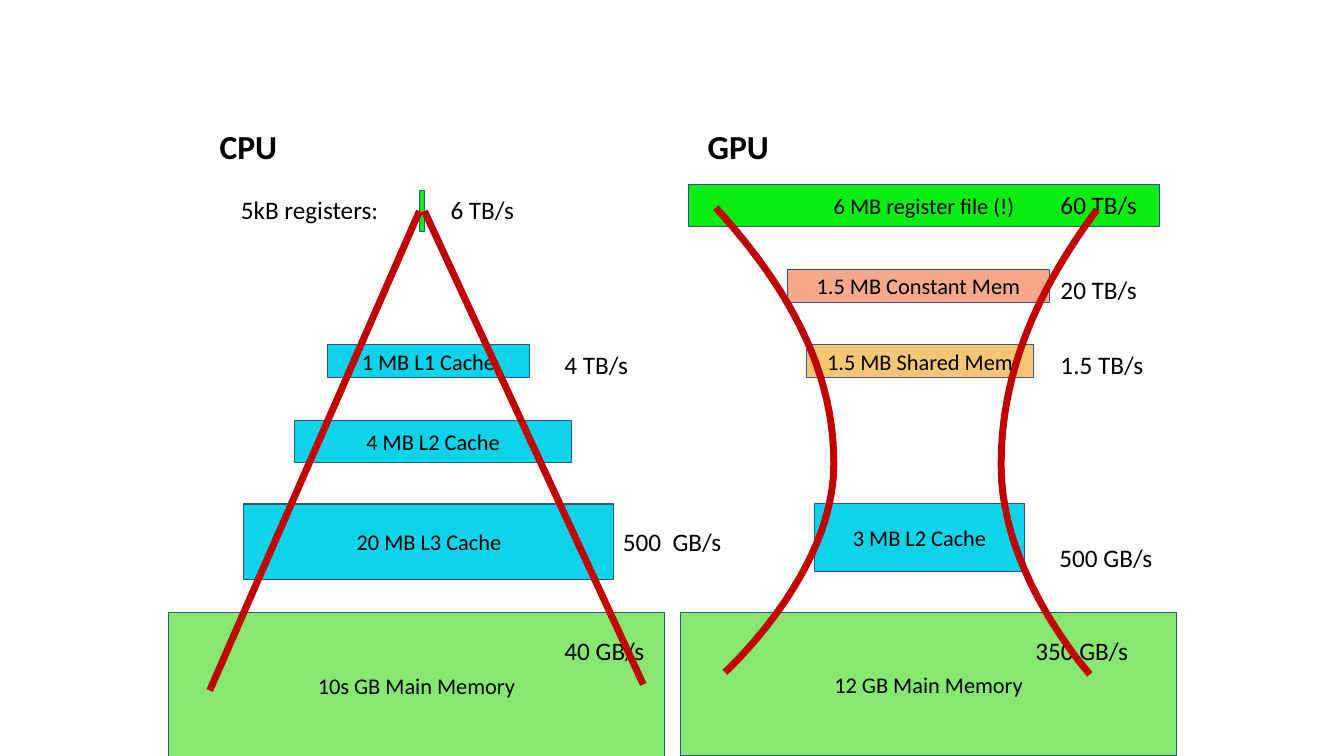
from typing import NamedTuple

from lxml import etree
from pptx import Presentation
from pptx.dml.color import RGBColor
from pptx.enum.shapes import MSO_CONNECTOR, MSO_SHAPE
from pptx.enum.text import MSO_ANCHOR, MSO_AUTO_SIZE, PP_ALIGN
from pptx.oxml.ns import qn
from pptx.util import Inches, Pt

RECT = MSO_SHAPE.RECTANGLE
STRAIGHT = MSO_CONNECTOR.STRAIGHT
MIDDLE = MSO_ANCHOR.MIDDLE
BOTTOM = MSO_ANCHOR.BOTTOM
CENTER = PP_ALIGN.CENTER
FIT = MSO_AUTO_SIZE.SHAPE_TO_FIT_TEXT

FONT = "Calibri"
COLORS = {
    "text": "000000",
    "edge": "325491",
    "cache": "0CD3E8",
    "register": "06EE11",
    "shared": "F6C672",
    "constant": "F6A88A",
    "memory": "86E871",
    "trend": "C00000",
}
STEPS = 24

Point = tuple[float, float]


class Box(NamedTuple):
    text: str
    color: str
    left: float
    top: float
    width: float
    height: float


class Label(NamedTuple):
    text: str
    left: float
    top: float
    width: float


class Curve(NamedTuple):
    start: Point
    bends: list[tuple[Point, Point, Point]]


HEADS = [Label("CPU", 2.08, 1, 4.3), Label("GPU", 6.92, 1, 4.3)]

CORE = Box("", "register", 4.16, 1.89, 0.05, 0.41)

BOXES = [
    Box("1 MB L1 Cache", "cache", 3.25, 3.42, 2, 0.33),
    Box("4 MB L2 Cache", "cache", 2.92, 4.17, 2.75, 0.42),
    Box("20 MB L3 Cache", "cache", 2.42, 5, 3.67, 0.75),
    Box("10s GB Main Memory", "memory", 1.67, 6.08, 4.92, 1.45),
    Box("6 MB register file (!)", "register", 6.83, 1.83, 4.67, 0.42),
    Box("1.5 MB Constant Mem", "constant", 7.81, 2.67, 2.6, 0.33),
    Box("1.5 MB Shared Mem", "shared", 8, 3.42, 2.25, 0.33),
    Box("3 MB L2 Cache", "cache", 8.08, 5, 2.08, 0.67),
    Box("12 GB Main Memory", "memory", 6.75, 6.08, 4.92, 1.42),
]

LABELS = [
    Label("5kB registers:", 2.29, 1.88, 1.58),
    Label("6 TB/s", 4.37, 1.88, 0.84),
    Label("4 TB/s", 5.5, 3.42, 0.84),
    Label("500  GB/s", 6.08, 5.17, 1.19),
    Label("40 GB/s", 5.5, 6.25, 1),
    Label("60 TB/s", 10.42, 1.83, 0.97),
    Label("20 TB/s", 10.42, 2.67, 0.97),
    Label("1.5 TB/s", 10.42, 3.42, 1.03),
    Label("500 GB/s", 10.41, 5.33, 1.13),
    Label("350 GB/s", 10.17, 6.25, 1.13),
]

SLOPES = [(1, (2.08, 6.85)), (3, (6.38, 6.79))]

CURVES = [
    Curve((7.1, 2.06), [
        ((7.65, 2.67), (8.28, 3.53), (8.27, 4.61)),
        ((8.27, 5.69), (7.19, 6.67), (7.19, 6.67)),
    ]),
    Curve((10.88, 2.08), [
        ((10.43, 2.69), (9.92, 3.55), (9.93, 4.63)),
        ((9.93, 5.71), (10.81, 6.69), (10.81, 6.69)),
    ]),
]


def tint(name: str) -> RGBColor:
    return RGBColor.from_string(COLORS[name])


def stroke(line, name: str, width: float) -> None:
    line.color.rgb = tint(name)
    line.width = Pt(width)


def write(frame, text: str, size: int, bold: bool = False):
    frame.text = text
    para = frame.paragraphs[0]
    for run in para.runs:
        run.font.name = FONT
        run.font.size = Pt(size)
        run.font.bold = bold
        run.font.color.rgb = tint("text")
    return para


def add_head(slide, head: Label) -> None:
    shape = slide.shapes.add_textbox(
        Inches(head.left), Inches(head.top), Inches(head.width), Inches(0.7))
    frame = shape.text_frame
    frame.word_wrap = True
    frame.vertical_anchor = BOTTOM
    para = write(frame, head.text, 24, True)
    para.line_spacing = 0.9
    para.space_before = Pt(10)


def add_box(slide, box: Box):
    shape = slide.shapes.add_shape(
        RECT, Inches(box.left), Inches(box.top),
        Inches(box.width), Inches(box.height))
    shape.shadow.inherit = False
    shape.fill.solid()
    shape.fill.fore_color.rgb = tint(box.color)
    stroke(shape.line, "edge", 0.75)
    if box.text:
        shape.text_frame.vertical_anchor = MIDDLE
        write(shape.text_frame, box.text, 16).alignment = CENTER
    return shape


def add_label(slide, label: Label) -> None:
    shape = slide.shapes.add_textbox(
        Inches(label.left), Inches(label.top),
        Inches(label.width), Inches(0.4))
    frame = shape.text_frame
    write(frame, label.text, 18)
    frame.word_wrap = False
    frame.auto_size = FIT


def add_slope(slide, core, side: int, end: Point) -> None:
    x, y = Inches(end[0]), Inches(end[1])
    line = slide.shapes.add_connector(STRAIGHT, core.left, core.top, x, y)
    line.begin_connect(core, side)
    stroke(line.line, "trend", 5)
    etree.SubElement(line._element.spPr, qn("a:effectLst"))


def trace(curve: Curve) -> list[Point]:
    points = []
    start = curve.start
    for first, second, end in curve.bends:
        for step in range(1, STEPS + 1):
            t = step / STEPS
            u = 1 - t
            x, y = (
                u**3 * a + 3 * u * u * t * b + 3 * u * t * t * c + t**3 * d
                for a, b, c, d in zip(start, first, second, end))
            points.append((Inches(x), Inches(y)))
        start = end
    return points


def add_curve(slide, curve: Curve) -> None:
    x, y = curve.start
    form = slide.shapes.build_freeform(Inches(x), Inches(y))
    form.add_line_segments(trace(curve), close=False)
    shape = form.convert_to_shape()
    shape.shadow.inherit = False
    shape.fill.background()
    stroke(shape.line, "trend", 5)


def main() -> None:
    deck = Presentation()
    deck.slide_width = Inches(13.33)
    deck.slide_height = Inches(7.5)
    slide = deck.slides.add_slide(deck.slide_layouts[6])
    for head in HEADS:
        add_head(slide, head)
    core = add_box(slide, CORE)
    for box in BOXES:
        add_box(slide, box)
    for label in LABELS:
        add_label(slide, label)
    for side, end in SLOPES:
        add_slope(slide, core, side, end)
    for curve in CURVES:
        add_curve(slide, curve)
    deck.save("out.pptx")


if __name__ == "__main__":
    main()
